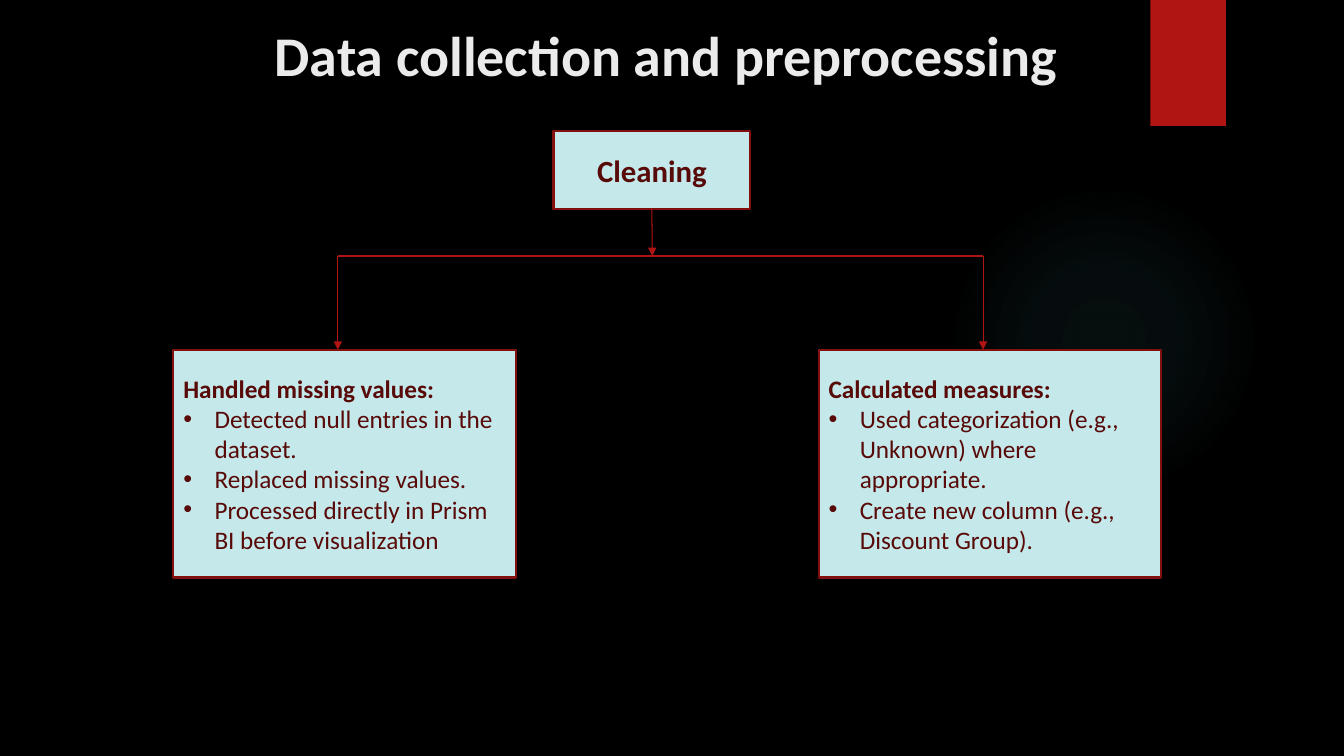
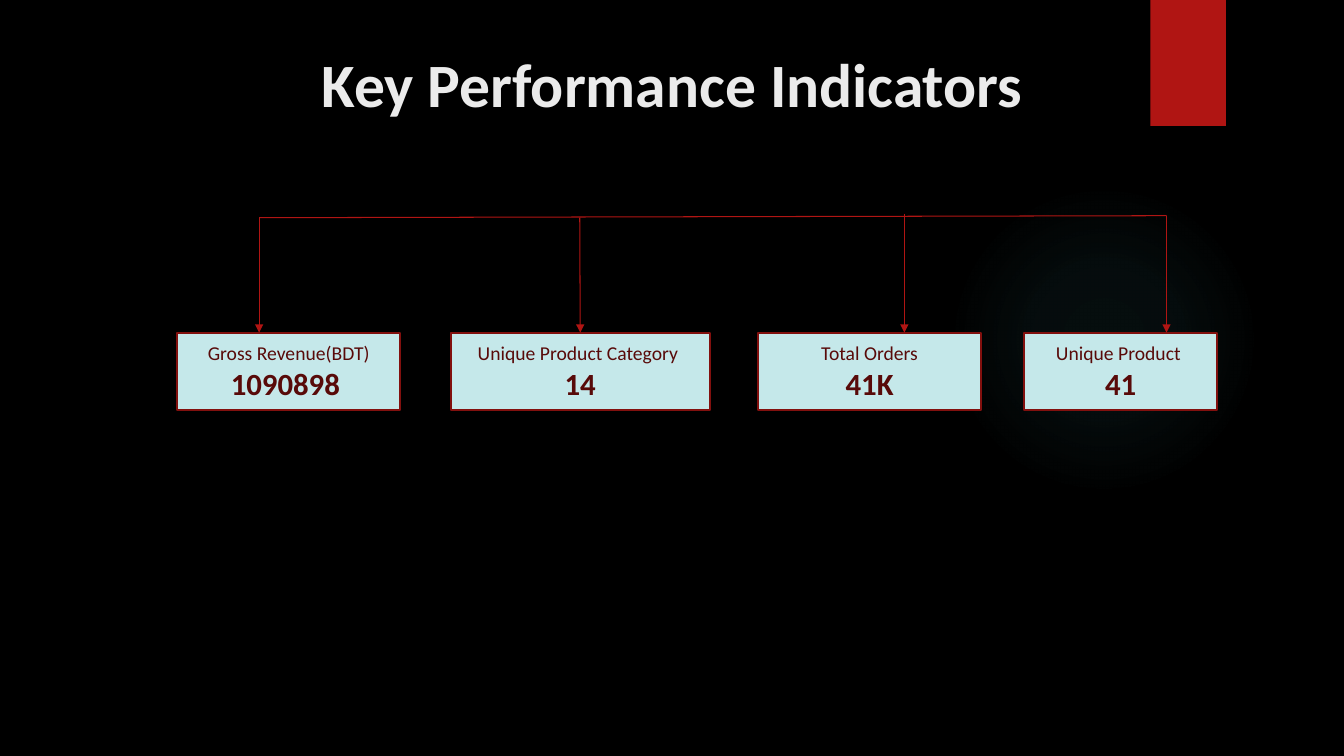
from lxml.etree import SubElement
from pptx import Presentation
from pptx.dml.color import RGBColor
from pptx.enum.shapes import MSO_CONNECTOR, MSO_SHAPE
from pptx.enum.text import MSO_ANCHOR, MSO_AUTO_SIZE, PP_ALIGN
from pptx.oxml import parse_xml
from pptx.oxml.ns import nsdecls, qn
from pptx.util import Pt

PX = 9144  # EMU per px, 100 px to the inch
SLIDE_SIZE = (1333, 750)
FONT = "Calibri"
COLORS = {
    "background": "000000",
    "glow": "50B9C1",
    "accent": "B01513",
    "title": "EBEBEB",
    "card": "C5E8EA",
    "card_line": "82100E",
    "card_text": "580A09",
}
GLOW_BOX = (941, 183, 308, 308)
GLOW_STOPS = [(0, 7), (36, 6), (69, 0)]  # position %, opacity %
BAND_BOX = (1141, 0, 75, 125)
BULLET_INDENT = 31

HEADING = {"size": 22, "bold": True, "align": PP_ALIGN.CENTER}
LABEL = {"size": 14, "bold": False, "align": PP_ALIGN.CENTER}
LEAD = {"size": 18, "bold": True, "align": PP_ALIGN.LEFT}
BULLET = {"size": 18, "bold": False, "align": PP_ALIGN.LEFT, "bullet": True}


def topic(lead, *bullets):
    return [(lead, LEAD)] + [(bullet, BULLET) for bullet in bullets]


def indicator(label, value):
    return [(label, LABEL), (value, HEADING)]


# Cards are (box, paragraphs); lines are (start, end, has arrowhead)
SLIDES = [
    {
        "title": ("Data collection and preprocessing ", 40, (214, 15, 906, 92)),
        "cards": [
            ((549, 130, 195, 77), [("Cleaning", HEADING)]),
            ((172, 347, 340, 226), topic(
                "Handled missing values:",
                "Detected null entries in the dataset.",
                "Replaced missing values.",
                "Processed directly in Prism BI before visualization")),
            ((812, 347, 340, 226), topic(
                "Calculated measures:",
                "Used categorization (e.g., Unknown) where appropriate.",
                "Create new column (e.g., Discount Group).")),
        ],
        "lines": [
            ((647, 207), (647, 254), True),
            ((335, 254), (975, 254), False),
            *[((x, 254), (x, 347), True) for x in (335, 975)],
        ],
    },
    {
        "title": ("Key Performance Indicators", 44, (242, 41, 850, 98)),
        "cards": [
            ((left, 330, width, 77), indicator(label, value))
            for left, width, label, value in [
                (176, 221, "Gross Revenue(BDT)", "1090898 "),
                (447, 257, "Unique Product Category ", "14"),
                (752, 221, "Total Orders", "41K"),
                (1016, 191, "Unique Product ", "41"),
            ]
        ],
        "lines": [
            *[((x, top), (x, 330), True)
              for x, top in [(257, 216), (575, 216), (897, 212), (1157, 214)]],
            ((1157, 214), (257, 216), False),
        ],
    },
]


def emu(values):
    return [round(value * PX) for value in values]


def color(name):
    return RGBColor.from_string(COLORS[name])


def set_values(target, values):
    for name, value in values.items():
        setattr(target, name, value)


def write(paragraph, text, size, bold, align, color_name, bullet=False):
    run = paragraph.add_run()
    run.text = text
    set_values(run.font, {"name": FONT, "size": Pt(size), "bold": bold})
    run.font.color.rgb = color(color_name)
    paragraph.alignment = align
    if bullet:
        properties = paragraph._p.get_or_add_pPr()
        properties.set("marL", str(BULLET_INDENT * PX))
        properties.set("indent", str(-BULLET_INDENT * PX))
        SubElement(properties, qn("a:buFont")).set("typeface", "Arial")
        SubElement(properties, qn("a:buChar")).set("char", "•")


def add_box(slide, preset, box, fill_name, line_name=None):
    shape = slide.shapes.add_shape(preset, *emu(box))
    shape.shadow.inherit = False
    shape.fill.solid()
    shape.fill.fore_color.rgb = color(fill_name)
    if line_name:
        shape.line.color.rgb = color(line_name)
        shape.line.width = Pt(1.5)
    else:
        shape.line.fill.background()
    return shape


def add_card(slide, box, paragraphs):
    shape = add_box(slide, MSO_SHAPE.RECTANGLE, box, "card", "card_line")
    frame = shape.text_frame
    set_values(frame, {"word_wrap": True, "vertical_anchor": MSO_ANCHOR.MIDDLE})
    for index, (text, style) in enumerate(paragraphs):
        paragraph = frame.add_paragraph() if index else frame.paragraphs[0]
        write(paragraph, text, color_name="card_text", **style)
    return shape


def add_line(slide, start, end, arrow, cards):
    line = slide.shapes.add_connector(MSO_CONNECTOR.STRAIGHT, *emu(start + end))
    line.line.color.rgb = color("accent")
    line.line.width = Pt(0.75)
    if arrow:
        SubElement(line.line._get_or_add_ln(), qn("a:tailEnd")).set("type", "triangle")
    SubElement(line._element.spPr, qn("a:effectLst"))
    # Join ends that fall on the middle of a card's top or bottom
    for card, ((left, top, width, height), _) in cards:
        for site, y in ((0, top), (2, top + height)):
            for point, connect in ((start, line.begin_connect), (end, line.end_connect)):
                if point[1] == y and abs(point[0] - left - width / 2) <= 1:
                    connect(card, site)


def add_title(slide, text, size, box):
    title = slide.shapes.title
    set_values(title, dict(zip(("left", "top", "width", "height"), emu(box))))
    frame = title.text_frame
    set_values(frame, {"word_wrap": True, "auto_size": MSO_AUTO_SIZE.NONE,
                       "vertical_anchor": MSO_ANCHOR.TOP})
    write(frame.paragraphs[0], text, size, True, PP_ALIGN.CENTER, "title")


def decorate_layout(layout, slide):
    """Draw the glow and band, then hand them to the layout all slides share."""
    glow = add_box(slide, MSO_SHAPE.OVAL, GLOW_BOX, "glow")
    stops = "".join(
        f'<a:gs pos="{position * 1000}"><a:srgbClr val="{COLORS["glow"]}">'
        f'<a:alpha val="{opacity * 1000}"/></a:srgbClr></a:gs>'
        for position, opacity in GLOW_STOPS)
    gradient = parse_xml(
        f'<a:gradFill {nsdecls("a")}><a:gsLst>{stops}</a:gsLst><a:path path="circle">'
        '<a:fillToRect l="50000" t="50000" r="50000" b="50000"/></a:path></a:gradFill>')
    properties = glow._element.spPr
    properties.replace(properties.find(qn("a:solidFill")), gradient)
    band = add_box(slide, MSO_SHAPE.RECTANGLE, BAND_BOX, "accent")
    for position, shape in enumerate((glow, band), start=2):
        layout.shapes.element.insert(position, shape._element)


def main():
    presentation = Presentation()
    presentation.slide_width, presentation.slide_height = emu(SLIDE_SIZE)
    background = presentation.slide_master.background.fill
    background.solid()
    background.fore_color.rgb = color("background")
    layout = presentation.slide_layouts.get_by_name("Title Only")

    for index, content in enumerate(SLIDES):
        slide = presentation.slides.add_slide(layout)
        if index == 0:
            decorate_layout(layout, slide)
        add_title(slide, *content["title"])
        cards = [(add_card(slide, *card), card) for card in content["cards"]]
        for line in content["lines"]:
            add_line(slide, *line, cards)

    presentation.save("out.pptx")


if __name__ == "__main__":
    main()
